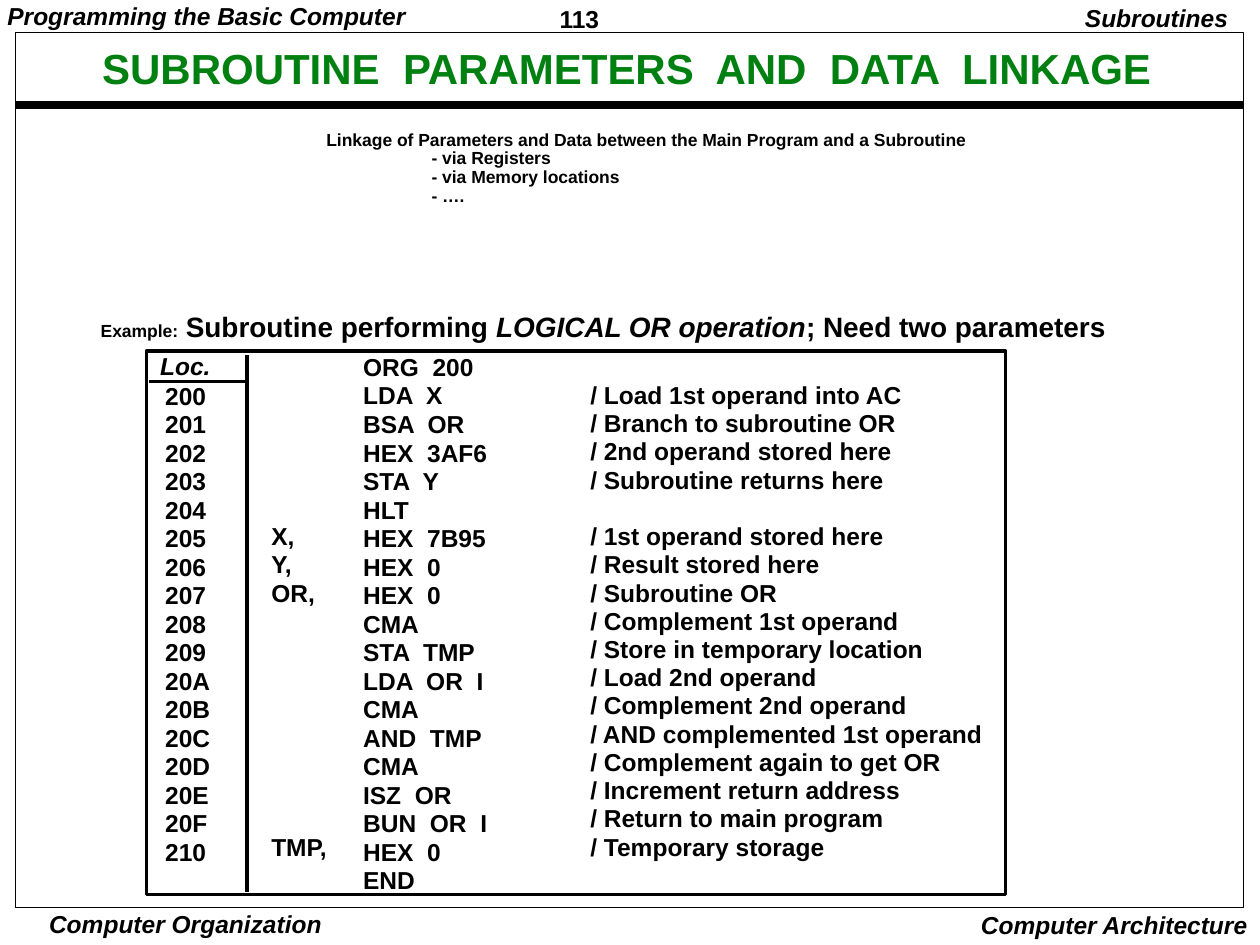
from lxml.etree import SubElement
from pptx import Presentation
from pptx.dml.color import RGBColor
from pptx.enum.shapes import MSO_CONNECTOR, MSO_SHAPE
from pptx.enum.text import MSO_ANCHOR, PP_ALIGN
from pptx.oxml.ns import qn
from pptx.util import Cm, Pt

BLACK = RGBColor(0x00, 0x00, 0x00)
GREEN = RGBColor(0x00, 0x80, 0x11)
FONT = "Arial"
LINE_HEIGHT = 1.2
NARROW = (0.18, 0.08)
WIDE = (0.25, 0.13)

LOCATIONS = [
    "", "200", "201", "202", "203", "204", "205", "206", "207", "208",
    "209", "20A", "20B", "20C", "20D", "20E", "20F", "210",
]
LABELS = [""] * 6 + ["X,", "Y,", "OR,"] + [""] * 8 + ["TMP,"]
INSTRUCTIONS = [
    "ORG  200", "LDA  X", "BSA  OR", "HEX  3AF6", "STA  Y", "HLT",
    "HEX  7B95", "HEX  0", "HEX  0", "CMA", "STA  TMP", "LDA  OR  I",
    "CMA", "AND  TMP", "CMA", "ISZ  OR", "BUN  OR  I", "HEX  0", "END",
]
REMARKS = [
    "",
    "/ Load 1st operand into AC",
    "/ Branch to subroutine OR",
    "/ 2nd operand stored here",
    "/ Subroutine returns here",
    "",
    "/ 1st operand stored here",
    "/ Result stored here",
    "/ Subroutine OR",
    "/ Complement 1st operand",
    "/ Store in temporary location",
    "/ Load 2nd operand",
    "/ Complement 2nd operand",
    "/ AND complemented 1st operand",
    "/ Complement again to get OR",
    "/ Increment return address",
    "/ Return to main program",
    "/ Temporary storage",
]


def add_run(paragraph, text, size=14, italic=False, color=BLACK):
    run = paragraph.add_run()
    run.text = text
    run.font.name = FONT
    run.font.size = Pt(size)
    run.font.bold = True
    run.font.italic = italic
    run.font.color.rgb = color


def add_text(slide, box, text, align=PP_ALIGN.LEFT, anchor=MSO_ANCHOR.TOP,
             spacing=0.9, insets=NARROW, **run_format):
    frame = slide.shapes.add_textbox(*map(Cm, box)).text_frame
    frame.word_wrap = True
    frame.vertical_anchor = anchor
    frame.margin_left = frame.margin_right = Cm(insets[0])
    frame.margin_top = frame.margin_bottom = Cm(insets[1])
    for index, line in enumerate(text.split("\n")):
        paragraph = frame.add_paragraph() if index else frame.paragraphs[0]
        paragraph.alignment = align
        paragraph.line_spacing = spacing
        add_run(paragraph, line, **run_format)
    return frame


def add_line(slide, start, end, width):
    line = slide.shapes.add_connector(
        MSO_CONNECTOR.STRAIGHT, *map(Cm, (*start, *end)))
    line.line.color.rgb = BLACK
    line.line.width = Pt(width)
    SubElement(line._element.spPr, qn("a:effectLst"))


def add_frame(slide, box, width):
    frame = slide.shapes.add_shape(MSO_SHAPE.RECTANGLE, *map(Cm, box))
    frame.shadow.inherit = False
    frame.fill.background()
    frame.line.color.rgb = BLACK
    frame.line.width = Pt(width)


def add_column(slide, box, rows, spacing, size=14):
    left, top, width, height = box
    pitch = Pt(size * LINE_HEIGHT * spacing)
    filled = [index for index, row in enumerate(rows) if row]
    offset = filled[0] * pitch.cm
    frame = add_text(
        slide, (left, top + offset, width, height - offset),
        "\n".join(rows[index] for index in filled),
        spacing=spacing, size=size)
    for paragraph, previous, current in zip(
            frame.paragraphs[1:], filled, filled[1:]):
        paragraph.space_before = pitch * (current - previous - 1)


def add_page_margins(slide, left, top, width, height):
    add_text(slide, (left - 0.03, top, 9, 0.69),
             "Programming the Basic Computer", italic=True)
    add_text(slide, (left + 11.1, top, 2.74, 0.74), "113", spacing=1.01)
    add_text(slide, (left + width - 3.79, top, 3.4, 0.79), "Subroutines",
             align=PP_ALIGN.RIGHT, insets=WIDE, italic=True)
    bottom = top + height
    add_text(slide, (left + 0.59, bottom - 0.76, 6.3, 0.66),
             "Computer Organization", align=PP_ALIGN.CENTER, spacing=1.0,
             insets=(0.08, 0.03), italic=True)
    add_text(slide, (left + width - 6.2, bottom - 0.84, 6.2, 0.84),
             "Computer Architecture", align=PP_ALIGN.RIGHT, spacing=1.0,
             insets=(0.25, 0.13), italic=True)


def add_title_frame(slide, left, top, width, height):
    rule_y = top + 1.45
    add_line(slide, (left, rule_y), (left + width, rule_y), 4.5)
    add_frame(slide, (left, top, width, height), 0.5)
    add_text(slide, (left + 0.82, top + 0.28, 22.99, 0.99),
             "SUBROUTINE  PARAMETERS  AND  DATA  LINKAGE",
             align=PP_ALIGN.CENTER, anchor=MSO_ANCHOR.MIDDLE, insets=WIDE,
             size=24, color=GREEN)


def add_linkage(slide, left, top, width, height):
    frame = add_text(
        slide, (left, top, width, height),
        "Linkage of Parameters and Data between the Main Program and a "
        "Subroutine\n- via Registers\n- via Memory locations\n- ….",
        insets=WIDE, size=10)
    for paragraph in frame.paragraphs[1:]:
        paragraph._p.get_or_add_pPr().set("marL", str(Cm(2.12)))


def add_example_heading(slide, left, top, width, height):
    heading = add_text(slide, (left, top, width, height), "Example:",
                       spacing=0.97, size=10).paragraphs[0]
    add_run(heading, " Subroutine performing ", size=16)
    add_run(heading, "LOGICAL OR operation", size=16, italic=True)
    add_run(heading, "; Need two parameters", size=16)


def add_listing(slide, left, top, width, height):
    columns = [
        (4.19, 3.2, INSTRUCTIONS, 0.97),
        (8.77, 8.5, REMARKS, 0.96),
        (2.34, 1.8, LABELS, 0.96),
        (0.2, 1.6, LOCATIONS, 0.97),
    ]
    for offset, column_width, rows, spacing in columns:
        add_column(slide, (left + offset, top - 0.03, column_width, height),
                   rows, spacing)
    add_text(slide, (left + 0.1, top - 0.05, 1.8, 0.71), "Loc.",
             spacing=0.97, italic=True)
    add_frame(slide, (left, top, width, height), 2)
    divider_x = left + 2.03
    header_y = top + 0.61
    add_line(slide, (divider_x, top + 0.08), (divider_x, top + height - 0.05), 2)
    add_line(slide, (left + 0.05, header_y), (divider_x - 0.03, header_y), 2)


def main():
    presentation = Presentation()
    presentation.slide_width = Cm(25.4)
    presentation.slide_height = Cm(19.05)
    slide = presentation.slides.add_slide(presentation.slide_layouts[6])
    add_page_margins(slide, 0, 0, 25.4, 19.05)
    add_title_frame(slide, 0.32, 0.66, 24.74, 17.63)
    add_linkage(slide, 6.33, 2.51, 13.8, 1.78)
    add_example_heading(slide, 1.85, 6.19, 21.2, 0.79)
    add_listing(slide, 2.95, 7.08, 17.32, 10.95)
    presentation.save("out.pptx")


if __name__ == "__main__":
    main()
